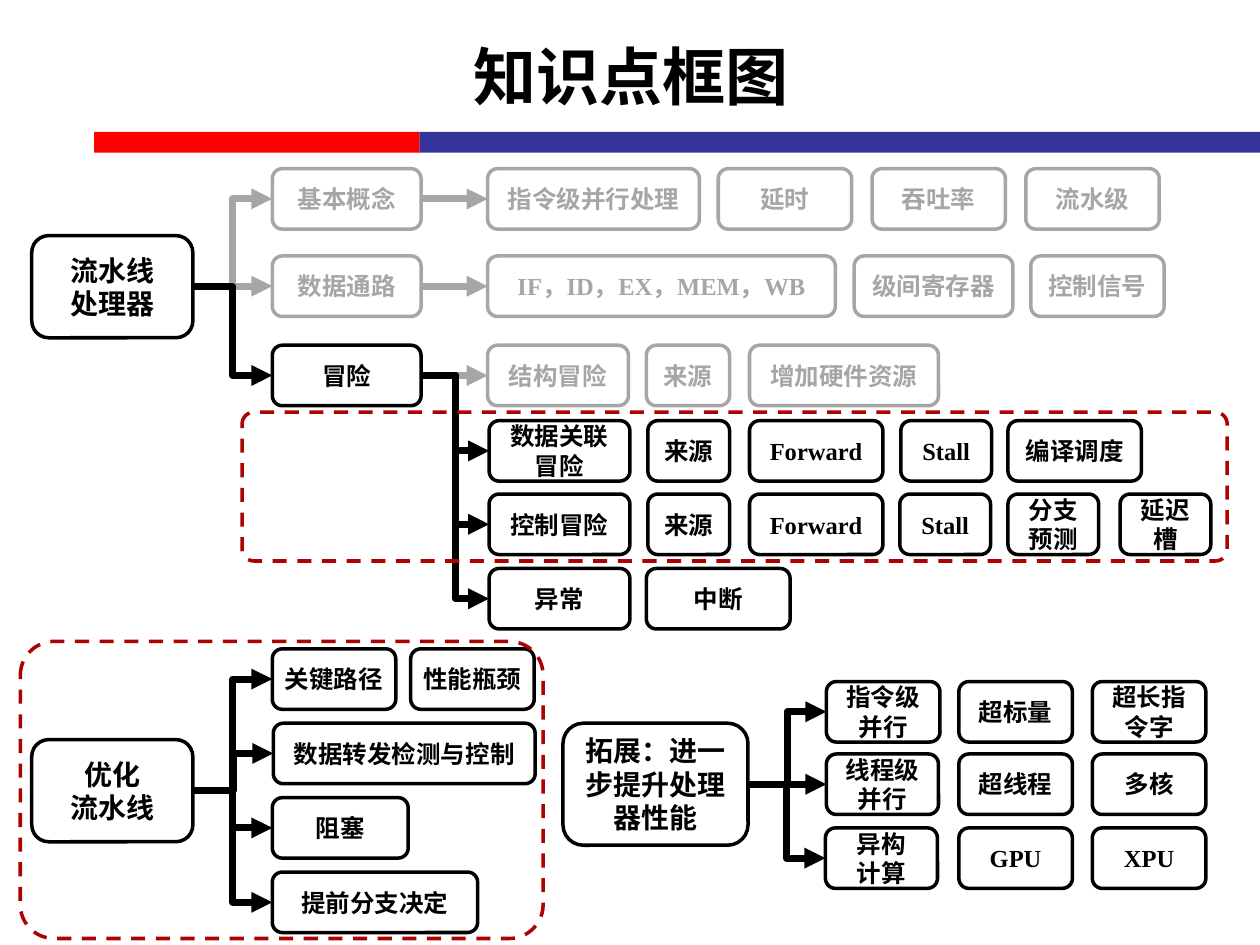
from lxml.etree import SubElement
from pptx import Presentation
from pptx.dml.color import RGBColor
from pptx.enum.dml import MSO_LINE
from pptx.enum.shapes import MSO_CONNECTOR, MSO_SHAPE
from pptx.enum.text import MSO_ANCHOR, PP_ALIGN
from pptx.oxml.ns import qn
from pptx.util import Cm, Pt

BLACK = RGBColor(0x00, 0x00, 0x00)
GREY = RGBColor(0xA6, 0xA6, 0xA6)
WHITE = RGBColor(0xFF, 0xFF, 0xFF)
RED = RGBColor(0xFF, 0x00, 0x00)
BLUE = RGBColor(0x33, 0x33, 0x99)
DARK_RED = RGBColor(0xAB, 0x02, 0x02)
SANS, SERIF = "Noto Sans CJK SC", "Times New Roman"

TITLE = "知识点框图"
# left, top, width, height in cm
TITLE_AREA = (0.71, 0.38, 24.03, 2.29)
BARS = [(RED, (1.9, 2.66, 8.56, 0.42)), (BLUE, (8.46, 2.66, 16.94, 0.42))]
BARS[0] = (RED, (1.9, 2.66, 6.56, 0.42))
FRAMES = [(0.079, (4.88, 8.31, 19.86, 3.0)), (0.114, (0.41, 12.93, 10.54, 5.99))]

ROOTS = {
    "流水线\n处理器": (0.64, 4.75, 3.25, 2.06),
    "优化\n流水线": (0.64, 14.91, 3.25, 2.06),
    "拓展：进一步提升处理器性能": (11.35, 14.58, 3.73, 2.46),
}

# top of the row, then (label, left, width) of each topic
ROW_HEIGHT = 1.22
ROWS = [
    (3.4, [("基本概念", 5.49, 3), ("指令级并行处理", 9.83, 4.27), ("延时", 14.48, 2.69),
           ("吞吐率", 17.58, 2.69), ("流水级", 20.68, 2.69)]),
    (5.16, [("数据通路", 5.49, 3), ("IF，ID，EX，MEM，WB", 9.83, 7.01),
            ("级间寄存器", 17.22, 3.2), ("控制信号", 20.78, 2.69)]),
    (6.96, [("冒险", 5.49, 3), ("结构冒险", 9.83, 2.84), ("来源", 13.03, 1.68),
            ("增加硬件资源", 15.11, 3.81)]),
    (8.48, [("数据关联冒险", 9.86, 2.84), ("来源", 13.06, 1.65), ("Forward", 15.11, 2.69),
            ("Stall", 18.16, 1.83), ("编译调度", 20.32, 2.69)]),
    (9.96, [("控制冒险", 9.86, 2.84), ("来源", 13.06, 1.65), ("Forward", 15.11, 2.69),
            ("Stall", 18.14, 1.83), ("分支预测", 20.32, 1.83), ("延迟槽", 22.58, 1.83)]),
    (11.46, [("异常", 9.86, 2.84), ("中断", 13.03, 2.9)]),
    (13.08, [("关键路径", 5.49, 2.49), ("性能瓶颈", 8.28, 2.49)]),
    (14.58, [("数据转发检测与控制", 5.51, 5.28)]),
    (16.08, [("阻塞", 5.49, 2.74)]),
    (17.58, [("提前分支决定", 5.49, 4.14)]),
    (13.74, [("指令级\n并行", 16.66, 2.29), ("超标量", 19.33, 2.29), ("超长指令字", 22.02, 2.29)]),
    (15.2, [("线程级\n并行", 16.66, 2.26), ("超线程", 19.33, 2.29), ("多核", 22.02, 2.29)]),
    (16.69, [("异构\n计算", 16.64, 2.26), ("GPU", 19.33, 2.29), ("XPU", 22.02, 2.29)]),
]
LAST_GREY_TOP = 6.96
SANS_LABELS = {"基本概念", "数据通路", "流水级", "冒险", "结构冒险", "来源", "增加硬件资源",
               "级间寄存器", "控制信号", "优化\n流水线", "拓展：进一步提升处理器性能", "超线程"}
NARROW_MARGIN_LABELS = {"关键路径", "性能瓶颈"}

LINKS = [
    (GREY, "流水线\n处理器", ["基本概念", "数据通路"]),
    (GREY, "基本概念", ["指令级并行处理"]),
    (GREY, "数据通路", ["IF，ID，EX，MEM，WB"]),
    (GREY, "冒险", ["结构冒险"]),
    (BLACK, "流水线\n处理器", ["冒险"]),
    (BLACK, "冒险", ["数据关联冒险", "控制冒险", "异常"]),
    (BLACK, "优化\n流水线", ["关键路径", "数据转发检测与控制", "阻塞", "提前分支决定"]),
    (BLACK, "拓展：进一步提升处理器性能", ["指令级\n并行", "线程级\n并行", "异构\n计算"]),
]


def set_all(target, values):
    for name, value in values.items():
        setattr(target, name, value)


def write(shape, text, size, font_name, color):
    frame = shape.text_frame
    frame.text = text
    set_all(frame, {"word_wrap": True, "vertical_anchor": MSO_ANCHOR.MIDDLE})
    for paragraph in frame.paragraphs:
        paragraph.alignment = PP_ALIGN.CENTER
        for run in paragraph.runs:
            set_all(run.font, {"size": Pt(size), "name": font_name, "bold": True})
            run.font.color.rgb = color
            SubElement(run.font._element, qn("a:ea")).set("typeface", SANS)


def add_area(kind, area, fill=None, line=None):
    shape = slide.shapes.add_shape(kind, *map(Cm, area))
    shape.shadow.inherit = False
    if fill is None:
        shape.fill.background()
    else:
        shape.fill.solid()
        shape.fill.fore_color.rgb = fill
    if line is None:
        shape.line.fill.background()
    else:
        shape.line.color.rgb = line
        shape.line.width = Pt(2)
    return shape


def add_topic(label, area, size, color):
    topic = add_area(MSO_SHAPE.ROUNDED_RECTANGLE, area, WHITE, color)
    write(topic, label, size, SANS if label in SANS_LABELS else SERIF, color)
    if label in NARROW_MARGIN_LABELS:
        set_all(topic.text_frame, {"margin_left": Cm(0.1), "margin_right": Cm(0.1)})
    return topic


def add_arrow(kind, source, target, color):
    arrow = slide.shapes.add_connector(kind, 0, 0, 0, 0)
    arrow.begin_connect(source, 3)
    arrow.end_connect(target, 1)
    arrow.line.color.rgb = color
    arrow.line.width = Pt(4)
    SubElement(arrow.line._get_or_add_ln(), qn("a:tailEnd")).set("type", "triangle")
    SubElement(arrow._element.spPr, qn("a:effectLst"))


presentation = Presentation()
set_all(presentation, {"slide_width": Cm(25.4), "slide_height": Cm(19.05)})
slide = presentation.slides.add_slide(presentation.slide_layouts[5])

title = slide.shapes.title
set_all(title, dict(zip(("left", "top", "width", "height"), map(Cm, TITLE_AREA))))
write(title, TITLE, 36, "Arial", BLACK)

for color, area in BARS:
    add_area(MSO_SHAPE.RECTANGLE, area, color)

topics = {label: add_topic(label, area, 16, BLACK) for label, area in ROOTS.items()}
for top, row in ROWS:
    for label, left, width in row:
        is_grey = top <= LAST_GREY_TOP and label != "冒险"
        area = (left, top, width, ROW_HEIGHT)
        topics[label] = add_topic(label, area, 14, GREY if is_grey else BLACK)

for color, source, targets in LINKS:
    for target in targets:
        start, end = topics[source], topics[target]
        same_row = start.top == end.top
        kind = MSO_CONNECTOR.STRAIGHT if same_row else MSO_CONNECTOR.ELBOW
        add_arrow(kind, start, end, color)

for rounding, area in FRAMES:
    frame = add_area(MSO_SHAPE.ROUNDED_RECTANGLE, area, line=DARK_RED)
    frame.adjustments[0] = rounding
    frame.line.dash_style = MSO_LINE.DASH

presentation.save("out.pptx")
